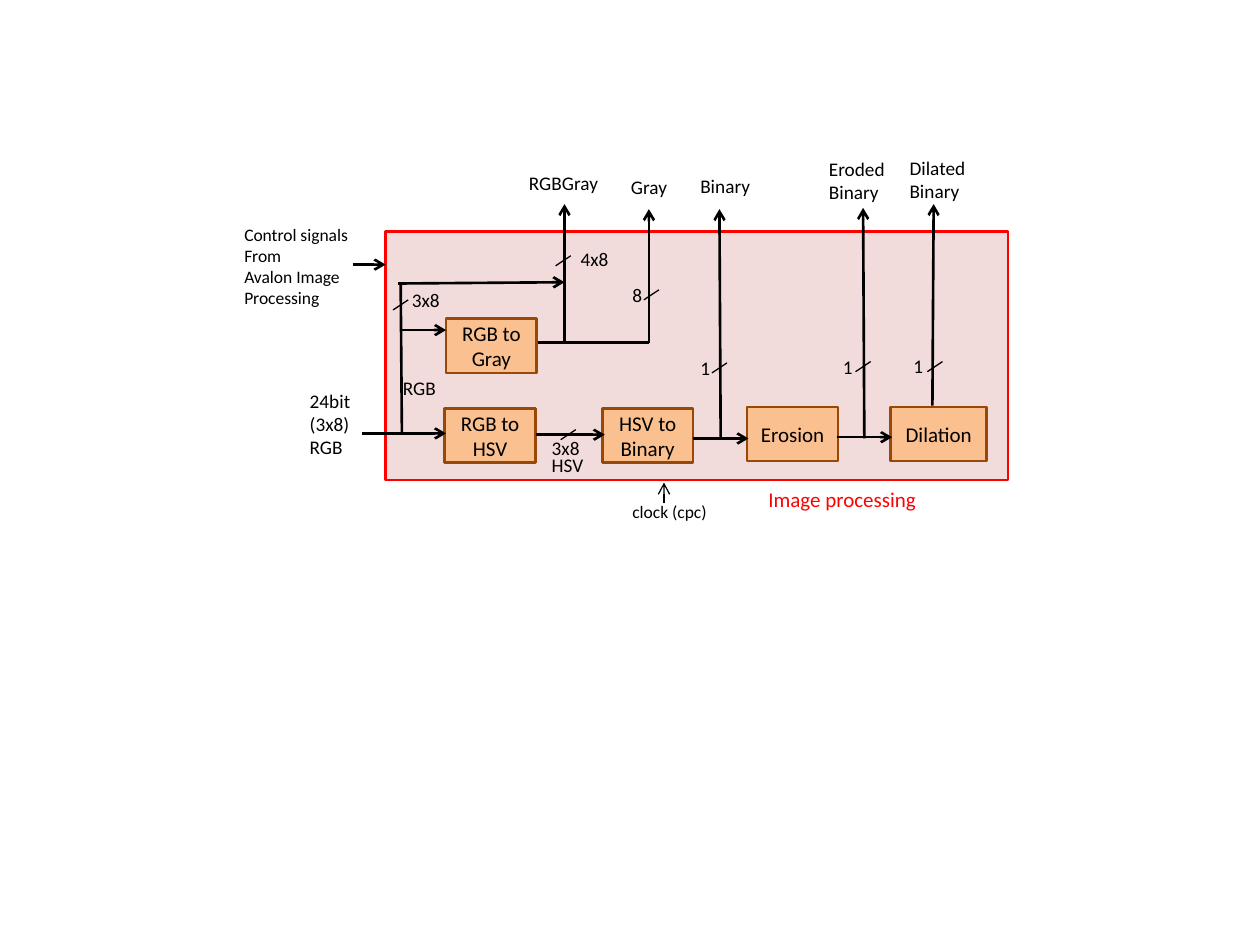
from pptx import Presentation
from pptx.dml.color import RGBColor
from pptx.enum.shapes import MSO_CONNECTOR, MSO_SHAPE
from pptx.enum.text import MSO_ANCHOR, PP_ALIGN
from pptx.oxml.ns import qn
from pptx.util import Inches, Pt
from lxml import etree

STRAIGHT = MSO_CONNECTOR.STRAIGHT
RECT = MSO_SHAPE.RECTANGLE
MIDDLE, TOP = MSO_ANCHOR.MIDDLE, MSO_ANCHOR.TOP
CENTER, LEFT = PP_ALIGN.CENTER, PP_ALIGN.LEFT


def rgb(value):
    return RGBColor.from_string(value)


def write(tf, text, size=11, color="000000", font="Calibri", align=LEFT, anchor=TOP):
    tf.word_wrap = True
    tf.vertical_anchor = anchor
    for i, line in enumerate(text.split("\n")):
        p = tf.add_paragraph() if i else tf.paragraphs[0]
        p.alignment = align
        r = p.add_run()
        r.text = line
        r.font.size = Pt(size)
        r.font.name = font
        r.font.color.rgb = rgb(color)


class Diagram:
    ink = "000000"
    frame_fill, frame_line = "F2DCDB", "FF0000"
    block_fill, block_line = "FAC090", "984807"
    thick, thin = 1.5, 0.75

    def __init__(self, slide):
        self.shapes = slide.shapes

    def rect(self, x, y, w, h, fill, line):
        sp = self.shapes.add_shape(RECT, Inches(x), Inches(y), Inches(w), Inches(h))
        sp.shadow.inherit = False
        sp.fill.solid()
        sp.fill.fore_color.rgb = rgb(fill)
        sp.line.color.rgb = rgb(line)
        sp.line.width = Pt(self.thick)
        return sp

    def frame(self, x, y, w, h):
        self.rect(x, y, w, h, self.frame_fill, self.frame_line)

    def block(self, text, x, y, w=0.72, h=0.43):
        sp = self.rect(x, y, w, h, self.block_fill, self.block_line)
        write(sp.text_frame, text, size=12, align=CENTER, anchor=MIDDLE)

    def label(self, text, x, y, w, h=0.29, **style):
        sp = self.shapes.add_textbox(Inches(x), Inches(y), Inches(w), Inches(h))
        sp.text_frame.margin_right = 0
        write(sp.text_frame, text, **style)

    def line(self, x1, y1, x2, y2, width=thick, arrow=False):
        cxn = self.shapes.add_connector(
            STRAIGHT, Inches(x1), Inches(y1), Inches(x2), Inches(y2))
        cxn.line.color.rgb = rgb(self.ink)
        cxn.line.width = Pt(width)
        if arrow:
            etree.SubElement(cxn.line._get_or_add_ln(), qn("a:tailEnd"), type="arrow")
        etree.SubElement(cxn._element.spPr, qn("a:effectLst"))

    def arrow(self, x1, y1, x2, y2, width=thick):
        self.line(x1, y1, x2, y2, width, arrow=True)

    def bus_tick(self, x, y):
        self.line(x - 0.06, y + 0.04, x + 0.06, y - 0.04, self.thin)


prs = Presentation()
prs.slide_width, prs.slide_height = Inches(10), Inches(7.5)
s = prs.slides.add_slide(prs.slide_layouts[6])
d = Diagram(s)

d.frame(3.06, 1.84, 4.94, 1.97)

for text, x, y, w in [
    ("RGB to Gray", 3.54, 2.53, 0.72),
    ("RGB to HSV", 3.53, 3.24, 0.72),
    ("HSV to Binary", 4.78, 3.24, 0.72),
    ("Erosion", 5.93, 3.23, 0.72),
    ("Dilation", 7.07, 3.23, 0.76),
]:
    d.block(text, x, y, w)

d.line(3.19, 3.45, 3.18, 2.25)
d.line(4.27, 2.72, 5.15, 2.72)
for ends in [
    (2.8, 2.1, 3.06, 2.1),
    (2.87, 3.44, 3.54, 3.44),
    (3.16, 2.25, 4.48, 2.24),
    (3.19, 2.62, 3.54, 2.62),
    (4.25, 3.45, 4.8, 3.45),
    (5.5, 3.48, 5.94, 3.48),
    (6.64, 3.47, 7.08, 3.47),
    (4.48, 2.73, 4.48, 1.62),
    (5.15, 2.72, 5.15, 1.66),
    (5.72, 3.49, 5.71, 1.66),
    (6.86, 3.48, 6.85, 1.65),
    (7.4, 3.22, 7.41, 1.62),
]:
    d.arrow(*ends)
d.arrow(5.27, 3.99, 5.27, 3.83, d.thin)

for x, y in [(3.18, 2.42), (4.47, 2.07), (4.51, 3.45), (5.17, 2.34),
             (5.71, 2.92), (6.85, 2.91), (7.42, 2.91)]:
    d.bus_tick(x, y)

for text, x, y, w in [
    ("RGB", 3.1, 2.94, 0.47),
    ("3x8", 3.17, 2.24, 0.43),
    ("3x8", 4.28, 3.41, 0.43),
    ("HSV", 4.28, 3.55, 0.46),
    ("4x8", 4.51, 1.91, 0.46),
    ("8", 4.92, 2.2, 0.28),
    ("1", 5.46, 2.78, 0.28),
    ("1", 6.59, 2.77, 0.28),
    ("1", 7.15, 2.76, 0.28),
    ("RGBGray", 4.1, 1.31, 0.8),
    ("Gray", 4.91, 1.34, 0.5),
    ("Binary", 5.46, 1.33, 0.6),
]:
    d.label(text, x, y, w)

d.label("Eroded\nBinary", 6.48, 1.2, 0.65, 0.47)
d.label("Dilated\nBinary", 7.12, 1.19, 0.68, 0.47)
d.label("24bit\n(3x8)\nRGB", 2.36, 3.04, 0.53, 0.66)
d.label("Control signals\nFrom\nAvalon Image Processing", 1.84, 1.73, 1.18, 0.77, size=10)
d.label("clock (cpc)", 4.92, 3.93, 0.81, 0.27, size=10)
d.label("Image processing", 6, 3.81, 1.39, 0.3, size=12, color=d.frame_line)

prs.save("out.pptx")
